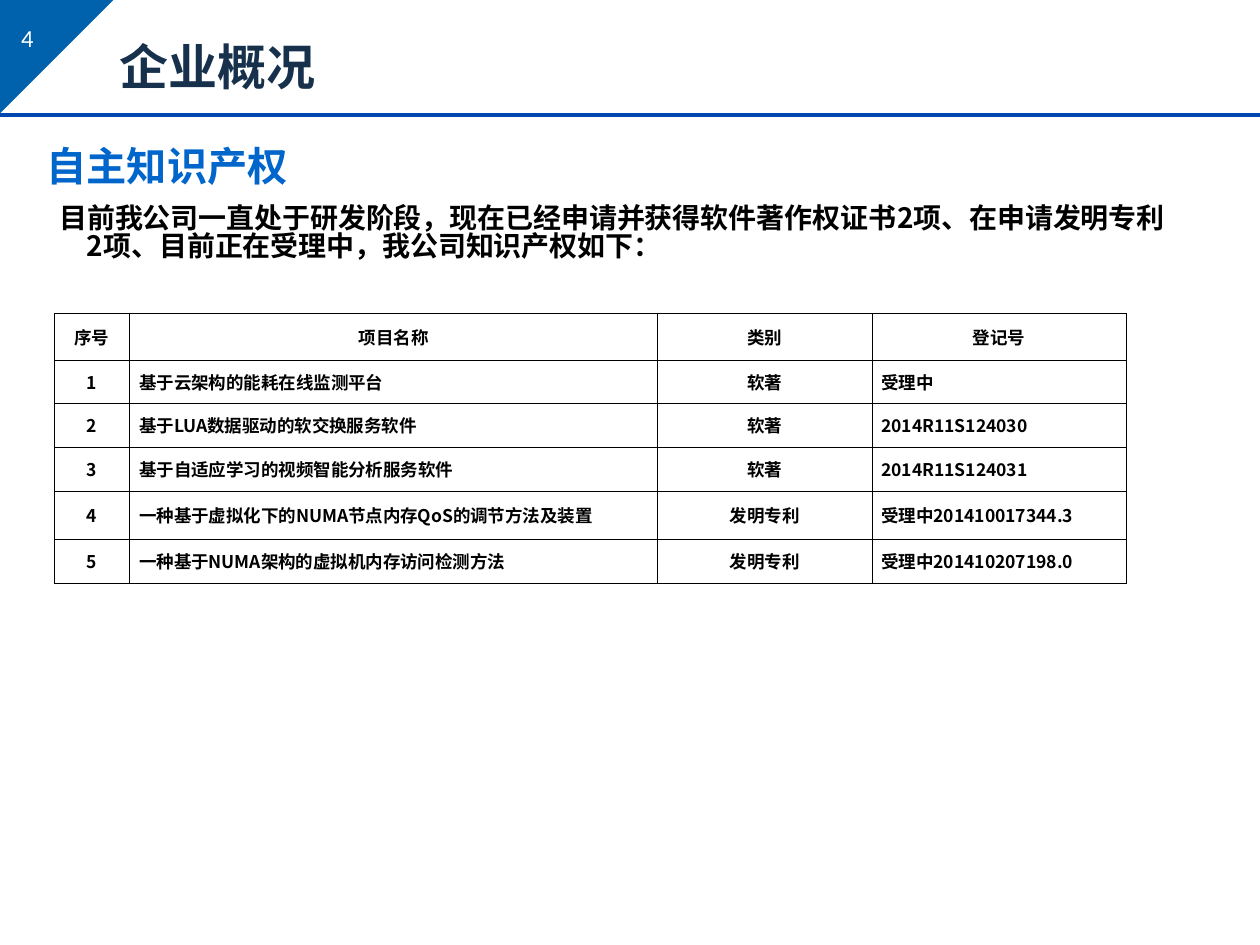
from lxml.etree import SubElement, fromstring
from pptx import Presentation
from pptx.dml.color import RGBColor
from pptx.enum.shapes import MSO_CONNECTOR, MSO_SHAPE
from pptx.enum.text import MSO_ANCHOR as Anchor, MSO_AUTO_SIZE as AutoSize, PP_ALIGN as Align
from pptx.oxml.ns import nsdecls, qn
from pptx.util import Inches, Pt

COLORS = {
    "corner": "0062AC", "rule": "0047B0", "title": "17314D", "heading": "0066CC",
    "text": "000000", "white": "FFFFFF", "shadow": "808080",
}
FONT, NUMBER_FONT = "Noto Sans CJK SC", "Calibri"
GRID = 0.1  # one column or row of the slide grid, in inches: 100 x 75

HEADERS = ["序号", "项目名称", "类别", "登记号"]
RIGHTS = [
    ("基于云架构的能耗在线监测平台", "软著", "受理中"),
    ("基于LUA数据驱动的软交换服务软件", "软著", "2014R11S124030"),
    ("基于自适应学习的视频智能分析服务软件", "软著", "2014R11S124031"),
    ("一种基于虚拟化下的NUMA节点内存QoS的调节方法及装置", "发明专利", "受理中201410017344.3"),
    ("一种基于NUMA架构的虚拟机内存访问检测方法", "发明专利", "受理中201410207198.0"),
]


def grid(value):
    return Inches(value * GRID)


def color(name):
    return RGBColor.from_string(COLORS[name])


def write(frame, text, size, tint="text", bold=True, font=FONT, align=Align.LEFT,
          spacing=1.0, hanging=None, shadow=False):
    """Put one formatted paragraph into a text frame."""
    paragraph = frame.paragraphs[0]
    properties = paragraph._p.get_or_add_pPr()
    if hanging:
        margin, indent = hanging
        properties.set("marL", str(grid(margin)))
        properties.set("indent", str(grid(indent)))
        SubElement(properties, qn("a:buNone"))
    paragraph.alignment = align
    paragraph.line_spacing = spacing
    paragraph.space_before = Pt(0)
    run = paragraph.add_run()
    run.text = text
    run.font.size, run.font.bold, run.font.name = Pt(size), bold, font
    run.font.color.rgb = color(tint)
    run_properties = run.font._element
    run_properties.find(qn("a:latin")).addnext(
        fromstring(f'<a:ea {nsdecls("a")} typeface="{font}"/>'))
    if shadow:
        run_properties.find(qn("a:solidFill")).addnext(fromstring(
            f'<a:effectLst {nsdecls("a")}><a:outerShdw dist="25400" dir="2700000">'
            f'<a:srgbClr val="{COLORS["shadow"]}"/></a:outerShdw></a:effectLst>'))


class SlideBuilder:
    """Holds the current slide; positions are in grid columns and rows."""

    def __init__(self, presentation):
        self.slide = presentation.slides.add_slide(presentation.slide_layouts[1])

    def corner(self, side):
        shape = self.slide.shapes.add_shape(
            MSO_SHAPE.RIGHT_TRIANGLE, 0, 0, grid(side), grid(side))
        shape.element.spPr.xfrm.set("flipV", "1")
        shape.shadow.inherit = False
        shape.fill.solid()
        shape.fill.fore_color.rgb = color("corner")
        shape.line.fill.background()

    def rule(self, row, columns, width):
        line = self.slide.shapes.add_connector(
            MSO_CONNECTOR.STRAIGHT, 0, grid(row), grid(columns), grid(row))
        line.line.color.rgb = color("rule")
        line.line.width = Pt(width)
        SubElement(line.element.spPr, qn("a:effectLst"))

    def fill_text(self, shape, box, text, insets=(1, 0.5), anchor=Anchor.TOP, **style):
        shape.left, shape.top, shape.width, shape.height = map(grid, box)
        frame = shape.text_frame
        frame.word_wrap = True
        frame.auto_size = AutoSize.NONE
        frame.vertical_anchor = anchor
        frame.margin_left = frame.margin_right = grid(insets[0])
        frame.margin_top = frame.margin_bottom = grid(insets[1])
        write(frame, text, **style)

    def text(self, box, text, **style):
        self.fill_text(self.slide.shapes.add_textbox(0, 0, 0, 0), box, text, **style)

    def placeholder(self, index, box, text, **style):
        self.fill_text(self.slide.placeholders[index], box, text, **style)

    def table(self, left, top, widths, heights, rows):
        table = self.slide.shapes.add_table(
            len(rows), len(widths), grid(left), grid(top),
            grid(sum(widths)), grid(sum(heights))).table
        table.first_row = table.horz_banding = False
        for column, width in zip(table.columns, widths):
            column.width = grid(width)
        for row, height, values in zip(table.rows, heights, rows):
            row.height = grid(height)
            for index, (cell, value) in enumerate(zip(row.cells, values)):
                centered = values is HEADERS or index in (0, 2)
                self.cell(cell, value, Align.CENTER if centered else Align.LEFT)

    def cell(self, cell, value, align):
        cell.vertical_anchor = Anchor.MIDDLE
        cell.margin_left = cell.margin_right = grid(0.75)
        cell.margin_top = cell.margin_bottom = grid(0.5)
        for side in ("lnL", "lnR", "lnT", "lnB"):
            cell._tc.get_or_add_tcPr().append(fromstring(
                f'<a:{side} {nsdecls("a")} w="{Pt(0.45)}"><a:solidFill>'
                f'<a:srgbClr val="{COLORS["text"]}"/></a:solidFill></a:{side}>'))
        cell.fill.background()
        write(cell.text_frame, value, size=10, align=align)


def main():
    presentation = Presentation()
    presentation.slide_width, presentation.slide_height = grid(100), grid(75)
    builder = SlideBuilder(presentation)

    # Corner with page number, and header rule
    builder.corner(9)
    builder.text((0.7, 1.3, 23.3, 3.1), "4", size=14, tint="white", bold=False,
                 font=NUMBER_FONT)
    builder.rule(9.1, 100, 2.25)

    # Title, section heading and introduction
    builder.placeholder(0, (8.5, 2, 83.3, 5.6), "企业概况", size=28, tint="title",
                        anchor=Anchor.MIDDLE, spacing=1.2)
    builder.text((2.7, 10.7, 52.8, 4.9), "自主知识产权", size=23, tint="heading", shadow=True)
    builder.placeholder(
        1, (2.7, 16.2, 91.4, 9.5),
        "目前我公司一直处于研发阶段，现在已经申请并获得软件著作权证书2项、在申请发明专利2项、"
        "目前正在受理中，我公司知识产权如下：",
        size=16, insets=(0.4, 0.2), spacing=0.82, hanging=(3.8, -2.2))

    # Intellectual property table
    numbered = [(str(number), *right) for number, right in enumerate(RIGHTS, 1)]
    builder.table(4.3, 24.9, [6, 41.9, 17, 20.2], [3.7, 3.4, 3.5, 3.5, 3.8, 3.5],
                  [HEADERS, *numbered])

    presentation.save("out.pptx")


if __name__ == "__main__":
    main()
